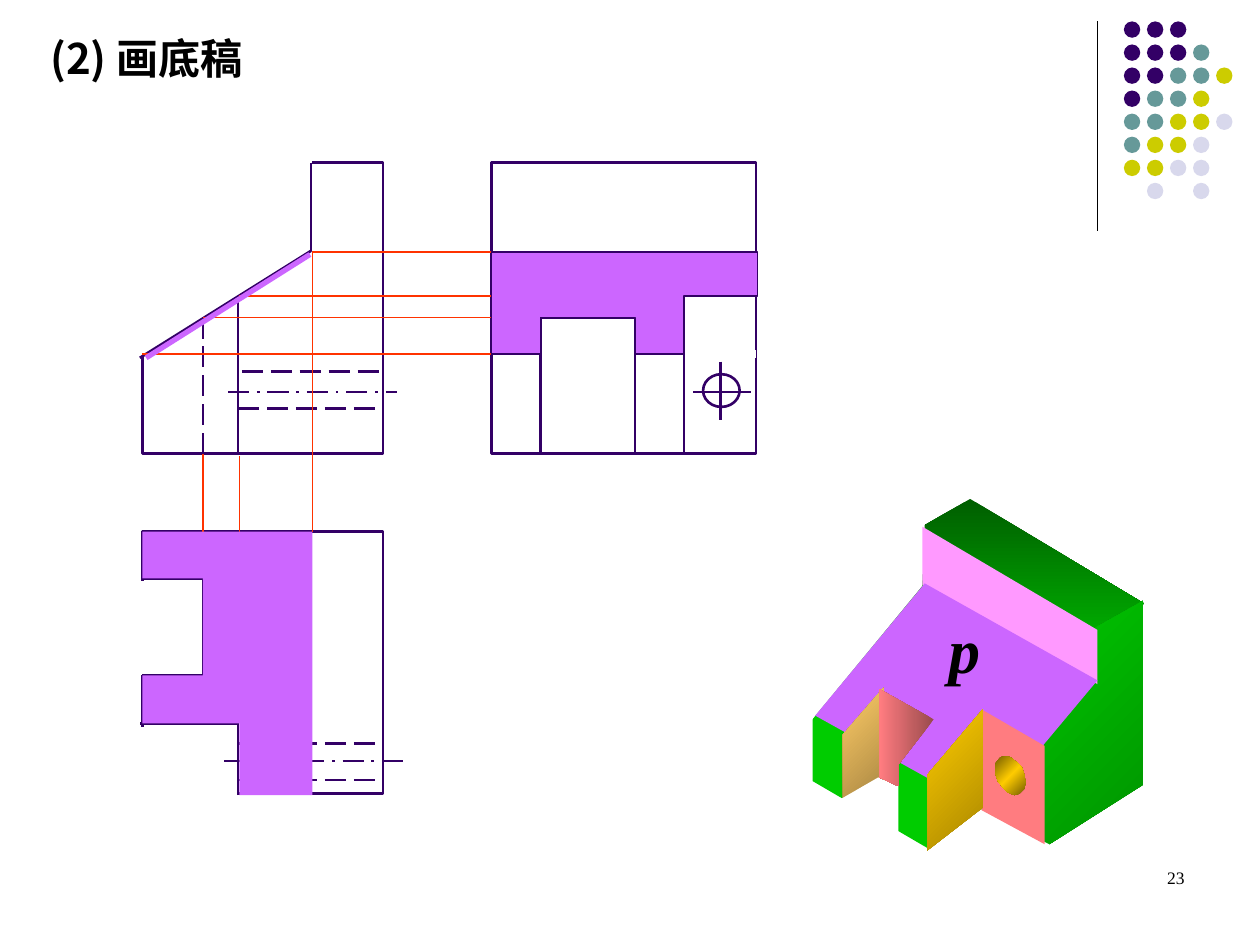
from copy import deepcopy

from lxml import etree
from pptx import Presentation
from pptx.dml.color import RGBColor
from pptx.enum.dml import MSO_LINE
from pptx.enum.shapes import MSO_CONNECTOR, MSO_SHAPE
from pptx.enum.text import PP_ALIGN
from pptx.oxml.ns import qn
from pptx.util import Inches, Pt

STRAIGHT = MSO_CONNECTOR.STRAIGHT
OVAL = MSO_SHAPE.OVAL
RECTANGLE = MSO_SHAPE.RECTANGLE
LONG_DASH = MSO_LINE.LONG_DASH
LONG_DASH_DOT = MSO_LINE.LONG_DASH_DOT
LEFT = PP_ALIGN.LEFT
RIGHT = PP_ALIGN.RIGHT
INK = "330066"
RED = "FF3300"
PURPLE = "CC66FF"
WHITE = "FFFFFF"
BLACK = "000000"


def rgb(value):
    return RGBColor.from_string(value)


def set_fill(shape, colors, angle):
    if not colors:
        shape.fill.background()
    elif len(colors) == 1:
        shape.fill.solid()
        shape.fill.fore_color.rgb = rgb(colors[0])
    else:
        shape.fill.gradient()
        shape.fill.gradient_angle = (360 - angle) % 360
        stop_list = shape._element.spPr.find(".//" + qn("a:gsLst"))
        for _ in colors[2:]:
            stop_list.insert(1, deepcopy(stop_list[0]))
        for index, (stop, color) in enumerate(zip(shape.fill.gradient_stops, colors)):
            stop.position = index / (len(colors) - 1)
            stop.color.rgb = rgb(color)


def format_shape(shape, fill=(), angle=0, line=None, width=1.5):
    shape.shadow.inherit = False
    set_fill(shape, fill, angle)
    if line:
        shape.line.color.rgb = rgb(line)
        shape.line.width = Pt(width)
    else:
        shape.line.fill.background()


def add_preset(slide, kind, left, top, width, height, **style):
    shape = slide.shapes.add_shape(kind, Inches(left), Inches(top), Inches(width), Inches(height))
    format_shape(shape, **style)


def add_polygon(slide, left, top, points, **style):
    places = [(Inches(left + x), Inches(top + y)) for x, y in points]
    builder = slide.shapes.build_freeform(*places[0], scale=1.0)
    builder.add_line_segments(places[1:], close=True)
    format_shape(builder.convert_to_shape(), **style)


def add_lines(slide, left, top, segments, color=INK, width=1.5, dash=None):
    for x1, y1, x2, y2 in segments:
        connector = slide.shapes.add_connector(
            STRAIGHT, Inches(left + x1), Inches(top + y1), Inches(left + x2), Inches(top + y2))
        connector.line.color.rgb = rgb(color)
        connector.line.width = Pt(width)
        if dash:
            connector.line.dash_style = dash
        etree.SubElement(connector._element.spPr, qn("a:effectLst"))


def add_text(slide, text, left, top, width, height, size, font,
             bold=False, italic=False, align=LEFT, wrap=True):
    box = slide.shapes.add_textbox(Inches(left), Inches(top), Inches(width), Inches(height))
    box.text_frame.word_wrap = wrap
    paragraph = box.text_frame.paragraphs[0]
    paragraph.alignment = align
    run = paragraph.add_run()
    run.text = text
    run.font.size = Pt(size)
    run.font.bold = bold
    run.font.italic = italic
    run.font.color.rgb = rgb(BLACK)
    run.font.name = font
    etree.SubElement(run._r.get_or_add_rPr(), qn("a:ea"), typeface=font)


def draw_corner_ornament(slide, left, top):
    colors = {"i": INK, "t": "669999", "y": "CCCC00", "l": "D8D8EC"}
    rows = ("iii", "iiit", "iitty", "itty", "ttyyl", "tyyl", "yyll", " l l")
    pitch = 0.183
    add_lines(slide, left, top, [(0, 0, 0, 1.66)], color=BLACK, width=0.75)
    for row, marks in enumerate(rows):
        for column, mark in enumerate(marks):
            if mark in colors:
                add_preset(slide, OVAL, left + 0.21 + column * pitch, top + row * pitch,
                           0.13, 0.13, fill=[colors[mark]])


def draw_side_view(slide, left, top):
    add_preset(slide, RECTANGLE, left, top, 2.1, 2.31, line=INK)
    add_preset(slide, OVAL, left + 1.68, top + 1.68, 0.29, 0.26, line=INK)
    add_lines(slide, left, top, [
        (1.82, 1.58, 1.82, 2.04), (1.6, 1.82, 2.06, 1.82),
        (0, 0.71, 2.08, 0.71), (0.39, 1.23, 1.15, 1.23), (1.53, 1.05, 2.11, 1.05),
        (0, 1.52, 2.1, 1.52)])
    add_lines(slide, left, top, [(0.39, 1.52, 1.16, 1.52), (1.53, 1.52, 2.1, 1.52)],
              color=WHITE, width=4.25)
    add_lines(slide, left, top, [
        (0.39, 1.23, 0.39, 2.31), (1.14, 1.23, 1.14, 2.31), (1.53, 1.05, 1.53, 2.31)])


def draw_front_view(slide, left, top):
    add_preset(slide, RECTANGLE, left, top, 1.91, 2.31, line=INK)
    add_lines(slide, left, top, [(0.68, 1.82, 2.02, 1.82)], dash=LONG_DASH_DOT)
    add_lines(slide, left, top, [
        (0.48, 1.23, 0.48, 2.31), (0.79, 1.66, 1.91, 1.66), (0.76, 1.95, 1.91, 1.95)],
        dash=LONG_DASH)
    add_lines(slide, left, top, [(0, -0.1, 0, 1.54), (-0.14, 0, 1.35, 0)],
              color=WHITE, width=4.25)
    add_lines(slide, left, top, [
        (0.76, 1.07, 0.76, 2.31), (1.34, 0, 1.34, 0.7), (1.34, 0.7, -0.02, 1.55)])


def draw_top_view(slide, left, top):
    add_preset(slide, RECTANGLE, left, top, 1.91, 2.08, line=INK)
    add_lines(slide, left, top, [(0.65, 1.82, 2.07, 1.82)], dash=LONG_DASH_DOT)
    add_lines(slide, left, top, [(0.76, 1.68, 1.91, 1.68), (0.76, 1.97, 1.91, 1.97)],
              dash=LONG_DASH)
    add_lines(slide, left, top, [
        (0, 1.14, 0, 0.39), (0, 1.55, 0, 2.09), (0, 2.09, 0.77, 2.09)],
        color=WHITE, width=4.25)
    add_lines(slide, left, top, [
        (0.76, 1.52, -0.02, 1.52), (0.48, 1.14, 0.48, 0.37), (1.34, 2.09, 1.34, 0),
        (0, 1.14, 0.48, 1.14), (0.48, 0.37, 0, 0.37), (0.76, 2.09, 0.76, 1.52)])


def draw_projection_lines(slide, left, top):
    add_lines(slide, left, top, [
        (1.35, 0.71, 2.83, 0.71), (0, 1.52, 2.77, 1.52), (0.48, 1.23, 3.16, 1.23),
        (0.77, 1.06, 4.3, 1.06), (1.35, 0.71, 1.35, 2.93), (0.48, 2.31, 0.48, 3.3),
        (0.77, 2.33, 0.77, 4.45)], color=RED, width=1)


def draw_inclined_faces(slide, left, top):
    add_polygon(slide, left, top + 2.93, [
        (0, 0), (1.35, 0), (1.35, 2.09), (0.77, 2.09), (0.77, 1.52), (0, 1.52),
        (0, 1.14), (0.48, 1.14), (0.48, 0.37), (0, 0.37)], fill=[PURPLE])
    add_lines(slide, left, top, [(0.03, 1.55, 1.33, 0.73)], color=PURPLE, width=3)
    add_polygon(slide, left + 2.77, top + 0.71, [
        (0, 0), (2.11, 0), (2.11, 0.35), (1.53, 0.35), (1.53, 0.81), (1.14, 0.81),
        (1.14, 0.52), (0.39, 0.52), (0.39, 0.81), (0, 0.81)],
        fill=[PURPLE], line=INK, width=0.75)


def draw_solid(slide, left, top):
    faces = [
        ([(1.44, 0), (0.19, 0.72), (1.58, 1.52), (2.82, 0.83)], ["005E00", "00CC00"], 90),
        ([(2.81, 0.81), (2.81, 2.27), (1.58, 3.05), (1.58, 1.5)], ["008F00", "00CC00"], 225),
        ([(0.19, 0.71), (0.19, 2.24), (1.58, 3.05), (1.58, 1.52)], ["00CC00"], 0),
        ([(1.08, 0.19), (1.06, 0.69), (0.17, 1.77), (0, 0.58), (0.06, 0.35)], [WHITE], 0),
        ([(1.06, 0.22), (1.06, 0.68), (2.45, 1.47), (2.45, 1.04)], ["FF99FF"], 0),
        ([(1.08, 0.67), (2.45, 1.44), (1.58, 2.48), (0.21, 1.72)], [PURPLE], 0),
        ([(1.5, 2.45), (2.22, 2.82), (1.46, 3.17), (1.02, 2.86)], [WHITE], 0),
        ([(1.53, 1.67), (2.03, 1.96), (2.03, 2.74), (1.53, 2.47)], ["FF7C80"], 0),
        ([(1.1, 2.19), (1.1, 2.79), (1.54, 2.45), (1.54, 1.67)], ["A98700", "FFCC00"], 225),
        ([(1.68, 2.05), (1.64, 2.1), (1.64, 2.18), (1.66, 2.24), (1.7, 2.29), (1.74, 2.33),
          (1.79, 2.35), (1.83, 2.34), (1.87, 2.3), (1.88, 2.25), (1.87, 2.19), (1.85, 2.13),
          (1.81, 2.09), (1.76, 2.05), (1.72, 2.04)], ["755E00", "FFCC00", "755E00"], 225),
        ([(0.43, 1.87), (0.75, 1.5), (0.75, 2.21), (0.43, 2.39)], ["A98743", "FFCC66"], 225),
        ([(0.71, 2.21), (0.33, 2.43), (0.87, 2.69), (0.87, 2.28)], [WHITE], 0),
        ([(0.72, 1.51), (1.15, 1.75), (0.87, 2.11), (0.87, 2.28), (0.72, 2.21)],
         ["9A4B4D", "FF7C80"], 180),
    ]
    for points, colors, angle in faces:
        add_polygon(slide, left, top, points, fill=colors, angle=angle)
    add_text(slide, "p", left + 1.17, top + 0.84, 0.45, 0.7, size=36,
             font="Times New Roman", bold=True, italic=True)


def main():
    presentation = Presentation()
    presentation.slide_width = Inches(10)
    presentation.slide_height = Inches(7.5)
    slide = presentation.slides.add_slide(presentation.slide_layouts[6])
    draw_corner_ornament(slide, 8.71, 0.17)
    add_text(slide, "(2) 画底稿", 0.3, 0.21, 2.08, 0.5, size=24,
             font="Noto Sans CJK SC", bold=True, wrap=False)
    draw_solid(slide, 6.26, 3.96)
    draw_side_view(slide, 3.9, 1.29)
    draw_front_view(slide, 1.13, 1.29)
    draw_top_view(slide, 1.13, 4.22)
    draw_projection_lines(slide, 1.13, 1.29)
    draw_inclined_faces(slide, 1.13, 1.29)
    add_text(slide, "23", 7.17, 6.83, 2.33, 0.5, size=10,
             font="Times New Roman", align=RIGHT)
    presentation.save("out.pptx")


if __name__ == "__main__":
    main()
